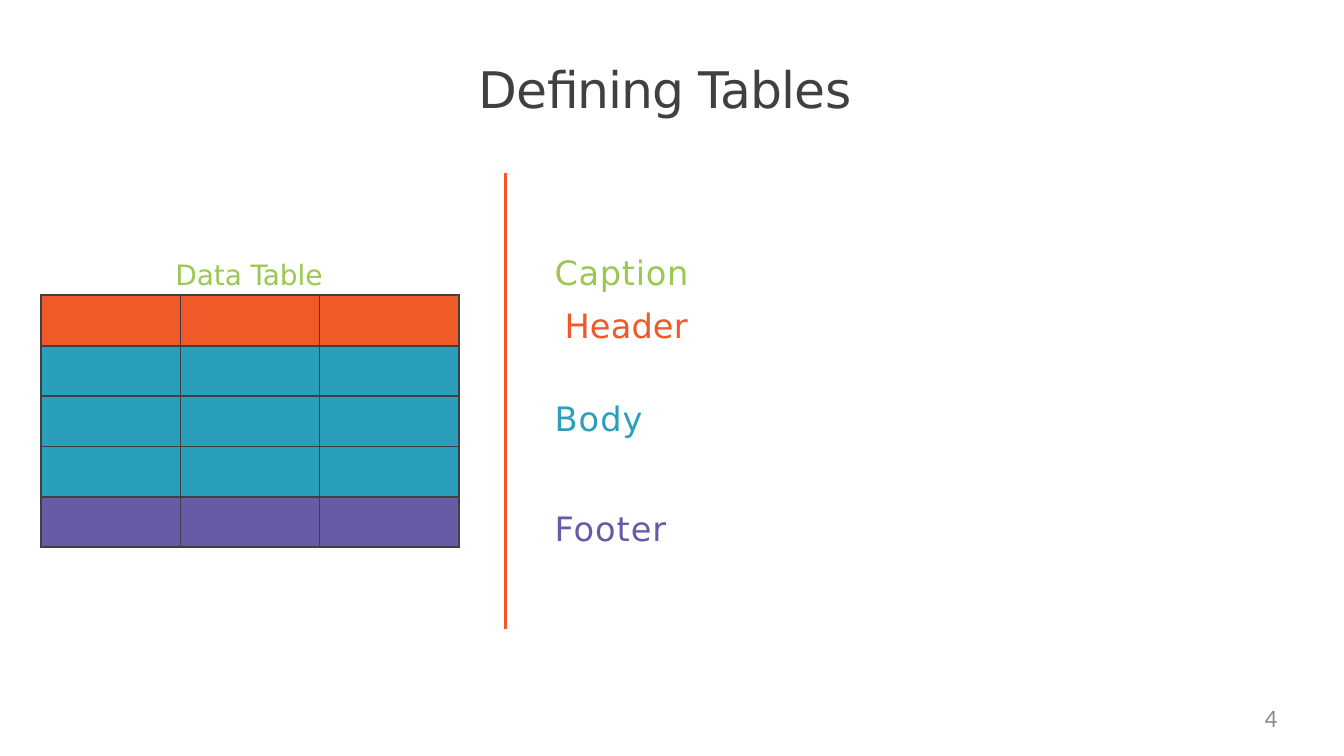
from lxml.etree import SubElement
from pptx import Presentation
from pptx.dml.color import RGBColor
from pptx.enum.shapes import MSO_CONNECTOR
from pptx.enum.text import MSO_ANCHOR, PP_ALIGN
from pptx.oxml.ns import qn
from pptx.util import Inches, Pt

ORANGE = RGBColor(0xF0, 0x5A, 0x28)
GREEN = RGBColor(0x9B, 0xC8, 0x50)
TEAL = RGBColor(0x2A, 0x9F, 0xBC)
PURPLE = RGBColor(0x67, 0x5B, 0xA7)
CHARCOAL = RGBColor(0x40, 0x40, 0x40)
GRAY = RGBColor(0x8C, 0x8C, 0x8C)


def write(paragraph, text, size, color, spacing=0, face="DejaVu Sans", align=PP_ALIGN.LEFT):
    """Fill a paragraph with one styled run, tracked by spacing in points."""
    run = paragraph.add_run()
    run.text = text
    run.font._element.set("spc", str(round(spacing * 100)))
    paragraph.alignment = align
    font = paragraph.font
    font.name, font.size, font.color.rgb = face, Pt(size), color


def prepare_frame(shape):
    """Remove the margins, wrap the text and return its frame."""
    frame = shape.text_frame
    frame.margin_left = frame.margin_right = frame.margin_top = frame.margin_bottom = 0
    frame.word_wrap = True
    frame.vertical_anchor = MSO_ANCHOR.TOP
    return frame


def add_label(slide, left, top, width, height, *args, **style):
    """Place a label and return its frame."""
    box = slide.shapes.add_textbox(Inches(left), Inches(top), Inches(width), Inches(height))
    frame = prepare_frame(box)
    write(frame.paragraphs[0], *args, **style)
    return frame


def add_title(slide, left, top, width, height):
    """Place the slide title in its placeholder."""
    title = slide.shapes.title
    title.left, title.top = Inches(left), Inches(top)
    title.width, title.height = Inches(width), Inches(height)
    write(prepare_frame(title).paragraphs[0], "Defining Tables", 36, CHARCOAL, -0.6)


def add_divider(slide, left, top, height):
    """Draw the vertical rule between the table and its legend."""
    x = Inches(left)
    divider = slide.shapes.add_connector(
        MSO_CONNECTOR.STRAIGHT, x, Inches(top), x, Inches(top + height))
    divider.line.color.rgb = ORANGE
    divider.line.width = Pt(2)
    SubElement(divider._element.spPr, qn("a:effectLst"))


def style_cell(cell, color):
    """Fill a cell and outline its four sides."""
    properties = cell._tc.get_or_add_tcPr()
    for side in ("a:lnL", "a:lnR", "a:lnT", "a:lnB"):
        border = SubElement(properties, qn(side), w=str(Pt(1.5)))
        fill = SubElement(border, qn("a:solidFill"))
        SubElement(fill, qn("a:srgbClr"), val=str(CHARCOAL))
    cell.fill.solid()
    cell.fill.fore_color.rgb = color


def add_data_table(slide, left, top, width, height):
    """Place the captioned table with coloured header, body and footer rows."""
    add_label(slide, left + 1.33, top - 0.38, 1.51, 0.36, "Data Table", 20, GREEN, -0.1)
    row_colors = [ORANGE, TEAL, TEAL, TEAL, PURPLE]
    table = slide.shapes.add_table(
        len(row_colors), 3, Inches(left), Inches(top), Inches(width), Inches(height)).table
    table.first_row = table.horz_banding = False
    for row, color in zip(table.rows, row_colors):
        for cell in row.cells:
            style_cell(cell, color)


def add_legend(slide, left, top, width):
    """Name the parts of the table beside it."""
    frame = add_label(slide, left, top, width, 1.03, "Caption", 24, GREEN, 0.5)
    header = frame.add_paragraph()
    header._p.get_or_add_pPr().set("marL", str(Inches(0.1)))
    write(header, "Header", 24, ORANGE, 0.1)
    header.space_before = Pt(1)
    for paragraph in frame.paragraphs:
        paragraph.line_spacing = 1.26
    add_label(slide, left, top + 1.55, width, 0.43, "Body", 24, TEAL, 0.8)
    add_label(slide, left, top + 2.64, width, 0.43, "Footer", 24, PURPLE, 0.7)


def main():
    """Build and save the slide."""
    presentation = Presentation()
    presentation.slide_width, presentation.slide_height = Inches(13.33), Inches(7.5)
    slide = presentation.slides.add_slide(presentation.slide_layouts[5])
    add_divider(slide, 5.01, 1.72, 4.52)
    add_title(slide, 4.75, 0.58, 3.77, 0.63)
    add_data_table(slide, 0.41, 2.93, 4.14, 2.5)
    add_legend(slide, 5.5, 2.4, 1.37)
    add_label(slide, 9.6, 6.97, 3.07, 0.38, "4", 18, GRAY, face="Calibri", align=PP_ALIGN.RIGHT)
    presentation.save("out.pptx")


if __name__ == "__main__":
    main()
